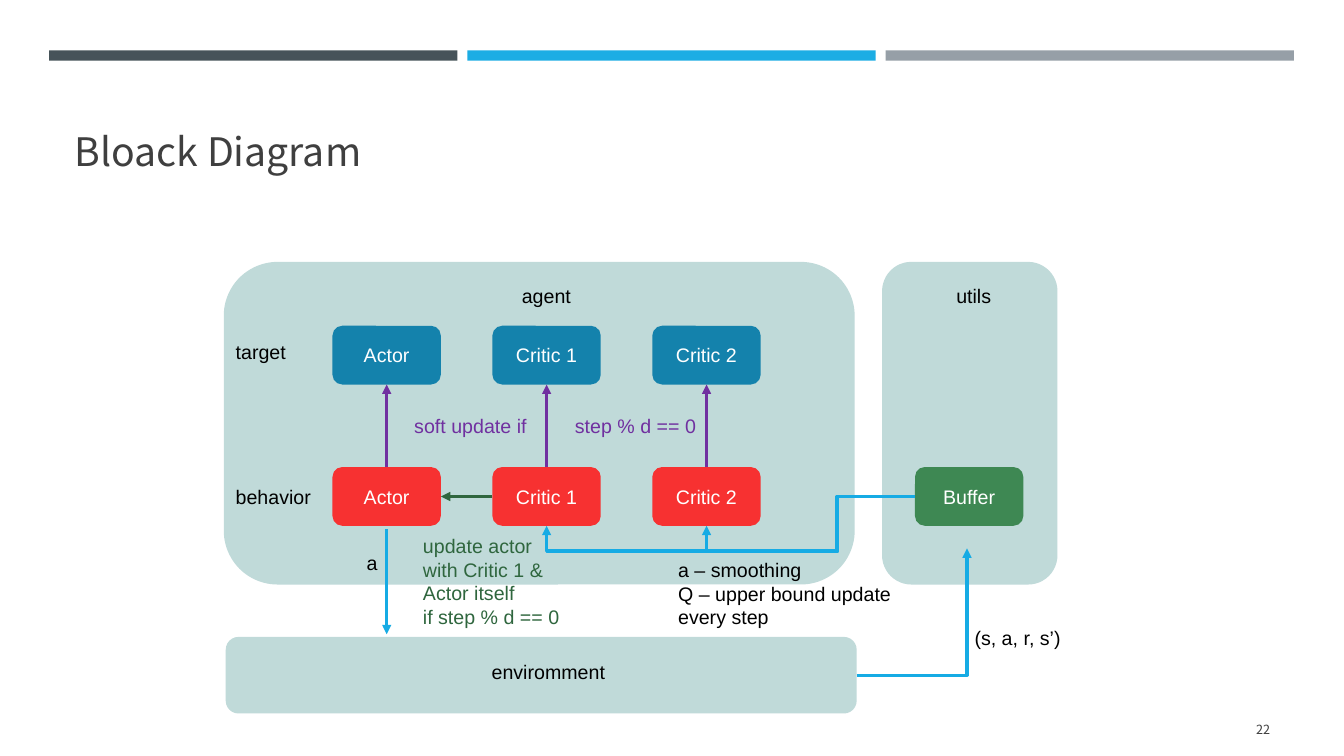
from lxml.etree import SubElement
from pptx import Presentation
from pptx.dml.color import RGBColor
from pptx.enum.shapes import MSO_CONNECTOR as Link, MSO_SHAPE as Form
from pptx.enum.text import MSO_ANCHOR as Anchor, PP_ALIGN as Align
from pptx.oxml.ns import qn
from pptx.util import Cm, Pt

SANS, HEAD = "Arial", "Noto Sans CJK KR"
BLACK, WHITE, GREY = "000000", "FFFFFF", "3F3F3F"
PALE, BLUE, RED, GREEN = "C0DAD9", "1482AC", "F73131", "3E8853"
SKY, PURPLE, MOSS = "16ABE4", "7030A0", "2F663E"

TITLE = "Bloack Diagram"
BARS = ["465359", "1CADE4", "969FA7"]
NETS = ["Actor", "Critic 1", "Critic 2"]
ROWS = {"target": (8.21, BLUE), "behavior": (11.77, RED)}
PANELS = {
    "agent": (5.64, 6.6, 15.9, 8.13),
    "utils": (22.23, 6.6, 4.42, 8.13),
    "env": (5.69, 16.05, 15.9, 1.93),
}
# text lines, left, top, width, height, colour
LABELS = [
    (["target"], 5.69, 8.43, 2.24, 0.86, BLACK),
    (["behavior"], 5.69, 12.09, 2.69, 0.86, BLACK),
    (["agent"], 12.9, 7.04, 2.24, 0.86, BLACK),
    (["utils"], 23.85, 7.04, 2.24, 0.86, BLACK),
    (["enviromment"], 12.14, 16.51, 4.24, 0.86, BLACK),
    (["a"], 8.99, 13.77, 2.13, 0.86, BLACK),
    (["(s, a, r, s’)"], 24.31, 15.65, 3.05, 0.86, BLACK),
    (["a – smoothing", "Q – upper bound update", "every step"],
     16.84, 13.94, 5.89, 2.06, BLACK),
    (["soft update if"], 10.19, 10.31, 3.6, 0.86, PURPLE),
    (["step % d == 0"], 14.24, 10.31, 4.1, 0.86, PURPLE),
    (["update actor", "with Critic 1 & Actor itself", "if step % d == 0"],
     10.41, 13.34, 4.24, 2.64, MOSS),
]
LEFT, PITCH, WIDE, HIGH = 8.38, 4.03, 2.73, 1.48
TOP, WEST, BASE, EAST = range(4)

deck = Presentation()
deck.slide_width, deck.slide_height = Cm(33.87), Cm(19.05)
slide = deck.slides.add_slide(deck.slide_layouts[5])
shapes = slide.shapes


def paint(text):
    """Turn a hex string into a colour."""
    return RGBColor.from_string(text)


def assign(item, **values):
    """Set each named value on an item."""
    for name, value in values.items():
        setattr(item, name, value)


def write(shape, lines, size=14, font=SANS, tint=BLACK,
          align=Align.LEFT, anchor=Anchor.TOP):
    """Fill a shape with formatted lines of text."""
    frame = shape.text_frame
    frame.text = "\n".join(lines)
    assign(frame, word_wrap=True, vertical_anchor=anchor)
    for para in frame.paragraphs:
        para.alignment = align
        assign(para.font, size=Pt(size), name=font)
        para.font.color.rgb = paint(tint)


def block(form, area, tint):
    """Add a flat filled shape."""
    shape = shapes.add_shape(form, *map(Cm, area))
    shape.shadow.inherit = False
    shape.fill.solid()
    shape.fill.fore_color.rgb = paint(tint)
    shape.line.fill.background()
    return shape


def node(name, left, top, tint):
    """Add a network or buffer box."""
    box = block(Form.ROUNDED_RECTANGLE, (left, top, WIDE, HIGH), tint)
    write(box, [name], tint=WHITE, align=Align.CENTER, anchor=Anchor.MIDDLE)
    return box


def arrow(tint, start=(0, 0), end=(0, 0), tail=None, head=None, bend=None,
          turns=()):
    """Add an arrow between points or (shape, site) pairs."""
    kind = Link.ELBOW if bend else Link.STRAIGHT
    line = shapes.add_connector(kind, *map(Cm, (*start, *end)))
    if tail:
        line.begin_connect(*tail)
    if head:
        line.end_connect(*head)
    line.line.color.rgb = paint(tint)
    line.line.width = Pt(2.25)
    props = line.element.spPr
    SubElement(props, qn("a:effectLst"))
    SubElement(props.find(qn("a:ln")), qn("a:tailEnd"), type="triangle")
    if bend:
        shape = props.find(qn("a:prstGeom"))
        shape.set("prst", bend)
        guides = shape.find(qn("a:avLst"))
        for rank, turn in enumerate(turns, 1):
            SubElement(guides, qn("a:gd"), name=f"adj{rank}",
                       fmla=f"val {turn}")
    frame = props.find(qn("a:xfrm"))
    if turns and frame.attrib.pop("flipH", None):
        frame.set("rot", "10800000")
        frame.set("flipV", "1")


for rank, tint in enumerate(BARS):
    block(Form.RECTANGLE, (1.24 + rank * 10.54, 1.27, 10.29, 0.26), tint)
panels = {name: block(Form.ROUNDED_RECTANGLE, area, PALE)
          for name, area in PANELS.items()}

title = shapes.title
assign(title, left=Cm(1.63), top=Cm(1.96), width=Cm(30.63), height=Cm(2.57))
write(title, [TITLE], 28, HEAD, GREY, anchor=Anchor.BOTTOM)
page = shapes.add_textbox(*map(Cm, (29.34, 17.86, 2.92, 1.02)))
write(page, ["22"], 9, HEAD, GREY, Align.RIGHT, Anchor.MIDDLE)

grid = {row: [node(name, LEFT + rank * PITCH, top, tint)
              for rank, name in enumerate(NETS)]
        for row, (top, tint) in ROWS.items()}
buffer = node("Buffer", 23.06, ROWS["behavior"][0], GREEN)

for low, high in zip(grid["behavior"], grid["target"]):
    arrow(PURPLE, tail=(low, TOP), head=(high, BASE))
actor, first, second = grid["behavior"]
arrow(MOSS, tail=(first, WEST), head=(actor, EAST))
for critic, turn in ((second, 37000), (first, 21200)):
    arrow(SKY, tail=(buffer, WEST), head=(critic, BASE),
          bend="bentConnector4", turns=(turn, 186100))
mid = LEFT + WIDE / 2
arrow(SKY, (mid, 13.34), (mid, 15.98))
arrow(SKY, end=(24.37, 13.82), tail=(panels["env"], EAST),
      bend="bentConnector2")

for lines, *area, tint in LABELS:
    write(shapes.add_textbox(*map(Cm, area)), lines, tint=tint)

deck.save("out.pptx")
